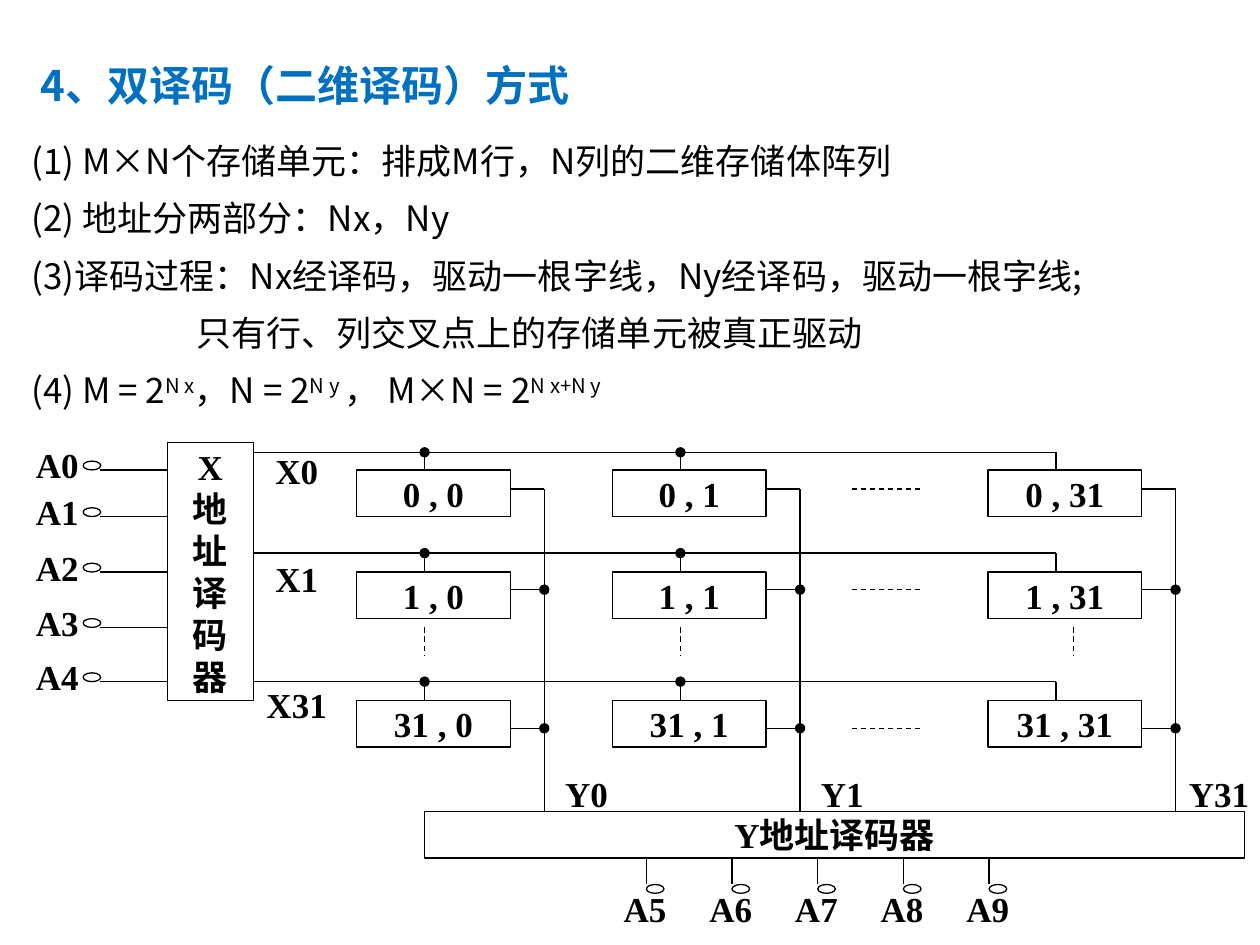
from dataclasses import dataclass

import pptx
from pptx.dml.color import RGBColor
from pptx.enum.dml import MSO_LINE
from pptx.enum.shapes import MSO_CONNECTOR, MSO_SHAPE
from pptx.enum.text import MSO_ANCHOR, PP_ALIGN
from pptx.oxml.ns import qn
from pptx.util import Inches, Pt

BLACK = RGBColor(0x00, 0x00, 0x00)
WHITE = RGBColor(0xFF, 0xFF, 0xFF)
BLUE = RGBColor(0x00, 0x70, 0xC0)
HAN_FONT = "Noto Sans CJK SC"
LATIN_FONT = "Times New Roman"
THIN = Pt(0.75)
CELL_W, CELL_H = 1.22, 0.37
BUS_X = 2.01


@dataclass
class Row:
    name: str
    wire_y: float
    cell_y: float
    out_y: float
    label_y: float


@dataclass
class Column:
    name: str
    cell_x: float
    tap_x: float
    wire_x: float
    label_x: float


@dataclass
class Line:
    runs: list[tuple[str, bool]]  # text, superscript
    left: float = 0.38
    first: float = -0.38


ROWS = [
    Row("0", 3.59, 3.73, 3.88, 3.66),
    Row("1", 4.39, 4.54, 4.68, 4.52),
    Row("31", 5.41, 5.56, 5.78, 5.52),
]
COLUMNS = [
    Column("0", 2.83, 3.37, 4.32, 4.45),
    Column("1", 4.86, 5.40, 6.35, 6.48),
    Column("31", 7.84, 8.38, 9.33, 9.47),
]
X_INPUT_YS = [3.73, 4.10, 4.54, 4.98, 5.41]
Y_INPUT_XS = [5.13 + 0.68 * i for i in range(5)]
TITLE = [Line([("4、双译码（二维译码）方式", False)], 0.31, -0.31)]
BODY = [
    Line([("(1) M×N个存储单元：排成M行，N列的二维存储体阵列", False)]),
    Line([("(2) 地址分两部分：Nx，Ny", False)]),
    Line([("(3)译码过程：Nx经译码，驱动一根字线，Ny经译码，驱动一根字线;", False)]),
    Line([("只有行、列交叉点上的存储单元被真正驱动", False)], 1.31, 0),
    Line([("(4) M = 2", False), ("N x", True), ("，N = 2", False), ("N y ", True),
          ("， M×N = 2", False), ("N x+N y", True)]),
]


def style(p, size: float, latin: str, color: RGBColor, bold: bool) -> None:
    f = p.font
    f.size, f.name, f.bold = Pt(size), latin, bold
    f.color.rgb = color
    props = p._p.get_or_add_pPr().find(qn("a:defRPr"))
    east_asian = props.makeelement(qn("a:ea"), {"typeface": HAN_FONT})
    props.find(qn("a:latin")).addnext(east_asian)


def add_shape(s, kind, x: float, y: float, w: float, h: float, line: RGBColor = BLACK):
    sp = s.shapes.add_shape(kind, Inches(x), Inches(y), Inches(w), Inches(h))
    sp.shadow.inherit = False
    sp.fill.solid()
    sp.fill.fore_color.rgb = WHITE
    sp.line.color.rgb = line
    sp.line.width = THIN
    return sp


def add_box(s, lines: list[str], x: float, y: float, w: float, h: float,
            line: RGBColor = BLACK, spacing: float | None = None) -> None:
    tf = add_shape(s, MSO_SHAPE.RECTANGLE, x, y, w, h, line).text_frame
    tf.word_wrap = False
    tf.vertical_anchor = MSO_ANCHOR.MIDDLE
    for i, text in enumerate(lines):
        p = tf.add_paragraph() if i else tf.paragraphs[0]
        p.text = text
        p.alignment = PP_ALIGN.CENTER
        if spacing:
            p.line_spacing = Pt(spacing)
        style(p, 20, LATIN_FONT, BLACK, True)


def add_label(s, text: str, x: float, y: float, w: float = 0.41, h: float = 0.15) -> None:
    add_box(s, [text], x, y, w, h, WHITE)


def add_wire(s, x1: float, y1: float, x2: float, y2: float,
             dot: bool = False, dashed: bool = False) -> None:
    """Draw a straight wire, with a junction dot at its start if asked."""
    c = s.shapes.add_connector(MSO_CONNECTOR.STRAIGHT, Inches(x1), Inches(y1),
                               Inches(x2), Inches(y2))
    c.line.color.rgb = BLACK
    c.line.width = THIN
    if dashed:
        c.line.dash_style = MSO_LINE.DASH
    props = c._element.spPr
    if dot:
        ln = props.find(qn("a:ln"))
        ln.append(ln.makeelement(qn("a:headEnd"), {"type": "oval"}))
    props.append(props.makeelement(qn("a:effectLst"), {}))


def add_terminal(s, x: float, y: float) -> None:
    add_shape(s, MSO_SHAPE.OVAL, x, y, 0.14, 0.07)


def add_text(s, lines: list[Line], x: float, y: float, w: float, h: float,
             size: float, color: RGBColor, bold: bool, inset: tuple[float, float]) -> None:
    tf = s.shapes.add_textbox(Inches(x), Inches(y), Inches(w), Inches(h)).text_frame
    tf.word_wrap = True
    tf.margin_left = tf.margin_right = Inches(inset[0])
    tf.margin_top = tf.margin_bottom = Inches(inset[1])
    for i, line in enumerate(lines):
        p = tf.add_paragraph() if i else tf.paragraphs[0]
        props = p._p.get_or_add_pPr()
        props.set("marL", str(Inches(line.left)))
        props.set("indent", str(Inches(line.first)))
        p.line_spacing = Pt(1.44 * size)
        if i:
            p.space_before = Pt(0.2 * size)
        for text, superscript in line.runs:
            r = p.add_run()
            r.text = text
            if superscript:
                r._r.get_or_add_rPr().set("baseline", "30000")
        style(p, size, HAN_FONT, color, bold)


def add_matrix(s) -> None:
    """Draw the storage cells with their row and column wires."""
    for row in ROWS:
        add_wire(s, BUS_X, row.wire_y, COLUMNS[-1].tap_x, row.wire_y)
        add_label(s, f"X{row.name}", 2.15, row.label_y)
        add_wire(s, 6.76, row.out_y, 7.3, row.out_y, dashed=True)
        for col in COLUMNS:
            add_box(s, [f"{row.name} , {col.name}"], col.cell_x, row.cell_y, CELL_W, CELL_H)
            add_wire(s, col.tap_x, row.wire_y, col.tap_x, row.cell_y,
                     dot=col is not COLUMNS[-1])
            add_wire(s, col.wire_x, row.out_y, col.cell_x + CELL_W, row.out_y,
                     dot=row is not ROWS[0])
    for col in COLUMNS:
        add_wire(s, col.wire_x, ROWS[0].out_y, col.wire_x, 6.44)
        add_label(s, f"Y{col.name}", col.label_x, 6.22)
    for col in COLUMNS[:-1]:
        add_wire(s, col.wire_x, ROWS[-1].wire_y, col.wire_x, ROWS[-1].wire_y, dot=True)
    for x in (3.37, 5.4, 8.52):
        add_wire(s, x, 4.98, x, 5.2, dashed=True)


def add_decoders(s) -> None:
    add_box(s, list("X地址译码器"), 1.33, 3.51, 0.68, 2.05, spacing=24)
    add_box(s, ["Y地址译码器"], 3.37, 6.44, 6.51, 0.37, spacing=24)
    for i, y in enumerate(X_INPUT_YS):
        add_label(s, f"A{i}", 0.25, y - 0.15, h=0.22)
        add_wire(s, 0.79, y, 1.33, y)
        add_terminal(s, 0.66, y - 0.07)
    for i, x in enumerate(Y_INPUT_XS, start=len(X_INPUT_YS)):
        add_label(s, f"A{i}", x - 0.28, 7.1, 0.54, 0.22)
        add_wire(s, x, 6.8, x, 7.02)
        add_terminal(s, x, 7.02)


def main() -> None:
    prs = pptx.Presentation()
    prs.slide_width, prs.slide_height = Inches(10), Inches(7.5)
    s = prs.slides.add_slide(prs.slide_layouts[6])
    add_matrix(s)
    add_decoders(s)
    add_text(s, BODY, 0.15, 0.99, 9.73, 2.28, 20, BLACK, False, (0.1, 0.05))
    add_text(s, TITLE, 0.25, 0.36, 9.25, 0.54, 24, BLUE, True, (0.07, 0.03))
    prs.save("out.pptx")


if __name__ == "__main__":
    main()
